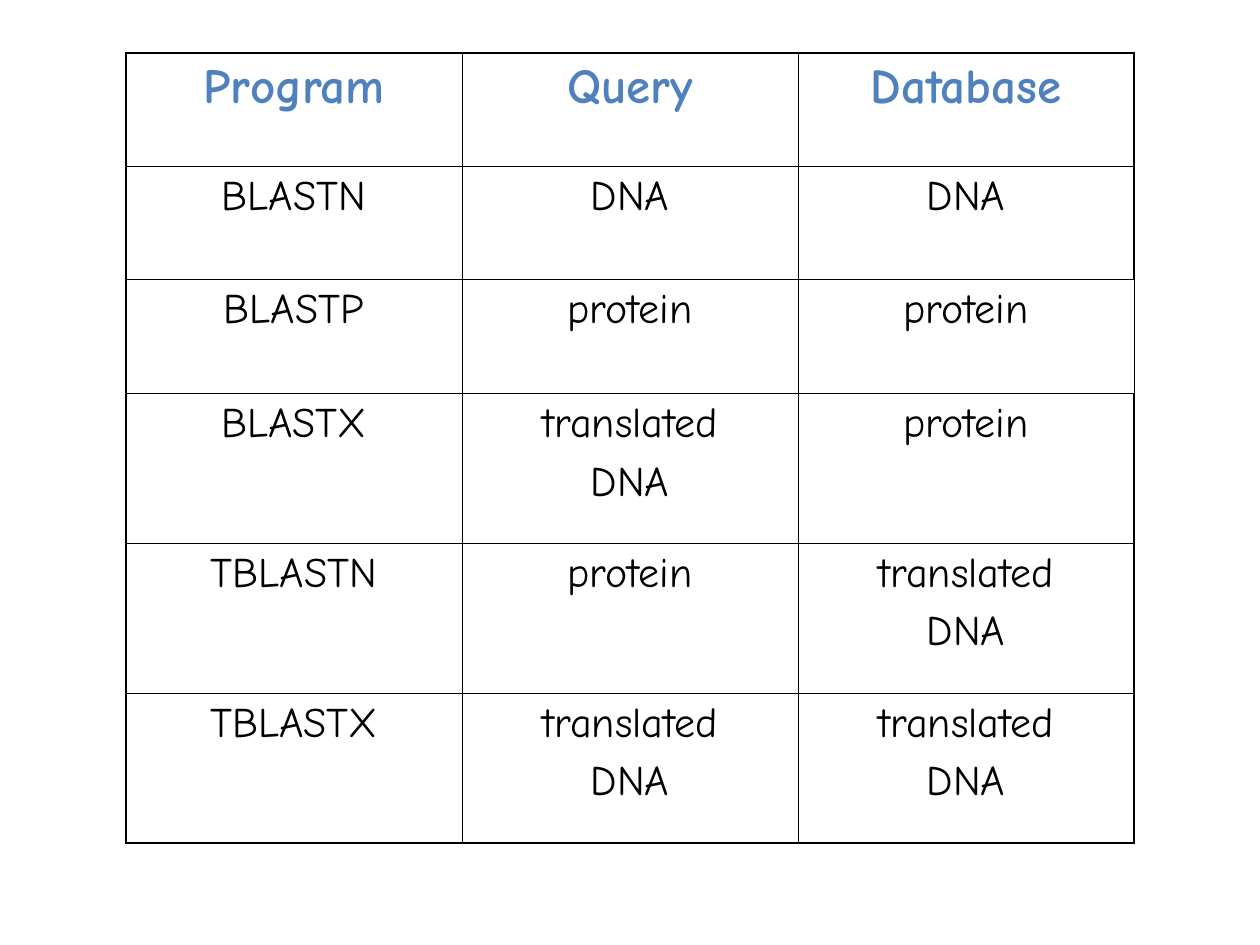
from lxml.etree import SubElement
from pptx import Presentation
from pptx.dml.color import RGBColor
from pptx.enum.text import PP_ALIGN
from pptx.oxml.ns import qn
from pptx.util import Inches, Pt

# Content: each cell is a list of lines
TRANSLATED = ["translated", "DNA"]
HEADER = [["Program"], ["Query"], ["Database"]]
ROWS = [
    [["BLASTN"], ["DNA"], ["DNA"]],
    [["BLASTP"], ["protein"], ["protein"]],
    [["BLASTX"], TRANSLATED, ["protein"]],
    [["TBLASTN"], ["protein"], TRANSLATED],
    [["TBLASTX"], TRANSLATED, TRANSLATED],
]

# Format
COLORS = {"header": "4F81BD", "body": "000000", "border": "000000"}
FONT = "Comic Neue"
SLIDE_WIDTH, SLIDE_HEIGHT = 10, 7.5
TABLE_LEFT, TABLE_TOP = SLIDE_WIDTH * 0.1, 0.42
TABLE_WIDTH = SLIDE_WIDTH * 0.8
SHORT_ROW, TALL_ROW = 0.9, 1.19
INNER_LINE, OUTER_LINE = 0.45, 1.08
THIN_EDGES = {(2, 2, "R")}  # the one outer edge drawn with the inner line


def write_lines(cell, lines, size=24, color="body", bold=False, gap=6):
    frame = cell.text_frame
    frame.word_wrap = True
    for index, line in enumerate(lines):
        paragraph = frame.add_paragraph() if index else frame.paragraphs[0]
        paragraph.alignment = PP_ALIGN.CENTER
        paragraph.space_before = Pt(gap if index else 0)
        run = paragraph.add_run()
        run.text = line
        run.font.name = FONT
        run.font.size = Pt(size)
        run.font.bold = bold
        run.font.color.rgb = RGBColor.from_string(COLORS[color])


def draw_borders(cell, widths):
    properties = cell._tc.get_or_add_tcPr()
    for index, (side, width) in enumerate(widths.items()):
        line = properties.makeelement(qn(f"a:ln{side}"), {"w": str(int(Pt(width)))})
        properties.insert(index, line)  # lines come before the fill
        fill = SubElement(line, qn("a:solidFill"))
        SubElement(fill, qn("a:srgbClr"), val=COLORS["border"])


def border_widths(row, column, last_row, last_column):
    outer = {"L": column == 0, "R": column == last_column,
             "T": row == 0, "B": row == last_row}
    return {side: OUTER_LINE if edge and (row, column, side) not in THIN_EDGES
            else INNER_LINE for side, edge in outer.items()}


def main():
    presentation = Presentation()
    presentation.slide_width = Inches(SLIDE_WIDTH)
    presentation.slide_height = Inches(SLIDE_HEIGHT)
    slide = presentation.slides.add_slide(presentation.slide_layouts[6])

    # Table grid: rows with a two-line cell are tall
    cells = [HEADER] + ROWS
    heights = [TALL_ROW if any(len(lines) > 1 for lines in row) else SHORT_ROW
               for row in cells]
    table = slide.shapes.add_table(
        len(cells), len(HEADER), Inches(TABLE_LEFT), Inches(TABLE_TOP),
        Inches(TABLE_WIDTH), Inches(sum(heights))).table
    table.first_row = table.horz_banding = False
    for row, height in zip(table.rows, heights):
        row.height = Inches(height)

    # Cells
    for row, texts in enumerate(cells):
        style = {} if row else {"size": 28, "color": "header", "bold": True}
        for column, lines in enumerate(texts):
            cell = table.cell(row, column)
            cell.fill.background()
            write_lines(cell, lines, **style)
            draw_borders(cell, border_widths(row, column, len(cells) - 1, len(HEADER) - 1))

    presentation.save("out.pptx")


if __name__ == "__main__":
    main()
